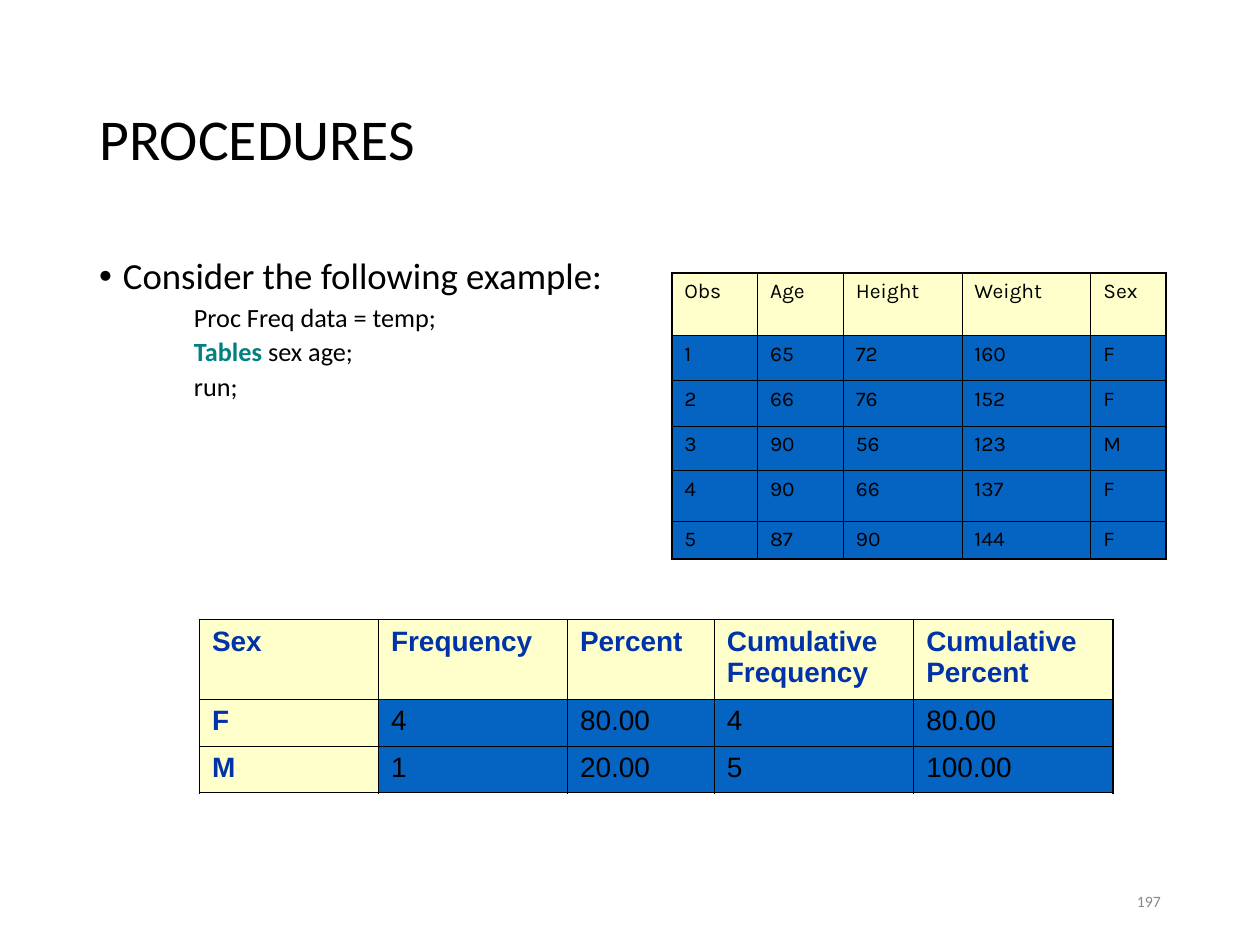
from dataclasses import dataclass

from lxml.etree import SubElement
from pptx import Presentation
from pptx.dml.color import RGBColor
from pptx.enum.text import MSO_ANCHOR, PP_ALIGN
from pptx.oxml.ns import qn
from pptx.util import Cm, Pt


@dataclass(frozen=True)
class Theme:
    black: str = "000000"
    keyword: str = "008080"
    muted: str = "898989"
    heading: str = "0033A9"
    header_fill: str = "FFFFCC"
    body_fill: str = "0563C1"
    text_font: str = "Calibri"
    data_font: str = "Karla"
    result_font: str = "Arial"
    title_size: float = 33
    lead_size: float = 21
    code_size: float = 15
    data_size: float = 12
    result_size: float = 16
    number_size: float = 9
    inner_line: float = 0.45
    outer_line: float = 1.08


THEME = Theme()


def write_text(paragraph, text, size, font=THEME.text_font, color=THEME.black, bold=False):
    for index, line in enumerate(text.split("\n")):
        if index:
            paragraph.add_line_break()
        run = paragraph.add_run()
        run.text = line
        run.font.size = Pt(size)
        run.font.name = font
        run.font.bold = bold
        run.font.color.rgb = RGBColor.from_string(color)


def set_indent(paragraph, margin, bullet=None):
    properties = paragraph._p.get_or_add_pPr()
    properties.set("marL", str(Cm(margin)))
    properties.set("indent", str(Cm(-0.48)))
    if bullet:
        SubElement(properties, qn("a:buFont"), typeface="Arial")
        SubElement(properties, qn("a:buChar"), char=bullet)
    else:
        SubElement(properties, qn("a:buNone"))


def add_title(slide, text):
    title = slide.shapes.title
    title.left, title.top, title.width, title.height = Cm(1.75), Cm(1.02), Cm(21.92), Cm(3.68)
    title.text_frame.vertical_anchor = MSO_ANCHOR.MIDDLE
    paragraph = title.text_frame.paragraphs[0]
    paragraph.alignment = PP_ALIGN.LEFT
    paragraph.line_spacing = 0.9
    write_text(paragraph, text, THEME.title_size)


def add_text_frame(slide, left, top, width, height):
    box = slide.shapes.add_textbox(Cm(left), Cm(top), Cm(width), Cm(height))
    box.text_frame.word_wrap = True
    return box.text_frame


def add_example(slide, lead, code_lines):
    frame = add_text_frame(slide, 1.75, 5.08, 21.92, 12.09)
    paragraph = frame.paragraphs[0]
    paragraph.line_spacing = 0.9
    set_indent(paragraph, 0.48, bullet="•")
    write_text(paragraph, lead, THEME.lead_size)
    for keyword, rest in code_lines:
        paragraph = frame.add_paragraph()
        paragraph.level = 1
        paragraph.line_spacing = 0.9
        paragraph.space_before = Pt(3.7)
        set_indent(paragraph, 2.39)
        if keyword:
            write_text(paragraph, keyword, THEME.code_size, color=THEME.keyword, bold=True)
        write_text(paragraph, rest, THEME.code_size)


def set_borders(cell, outer_sides):
    properties = cell._tc.get_or_add_tcPr()
    for index, side in enumerate("LRTB"):
        width = THEME.outer_line if side in outer_sides else THEME.inner_line
        line = SubElement(properties, qn(f"a:ln{side}"), w=str(Pt(width)))
        fill = SubElement(line, qn("a:solidFill"))
        SubElement(fill, qn("a:srgbClr"), val=THEME.black)
        properties.insert(index, line)


def add_table(slide, left, top, widths, heights, rows, size, font,
              header_color=THEME.black, header_bold=False, header_column=False):
    frame = slide.shapes.add_table(len(rows), len(widths), Cm(left), Cm(top),
                                   Cm(sum(widths)), Cm(sum(heights)))
    table = frame.table
    table.first_row = table.horz_banding = False
    for column, width in zip(table.columns, widths):
        column.width = Cm(width)
    for row, height in zip(table.rows, heights):
        row.height = Cm(height)
    last_row, last_column = len(rows) - 1, len(widths) - 1
    for r, values in enumerate(rows):
        for c, value in enumerate(values):
            cell = table.cell(r, c)
            is_header = r == 0 or (header_column and c == 0)
            cell.fill.solid()
            cell.fill.fore_color.rgb = RGBColor.from_string(
                THEME.header_fill if is_header else THEME.body_fill)
            edges = {"L": c == 0, "R": c == last_column, "T": r == 0, "B": r == last_row}
            set_borders(cell, [side for side, is_outer in edges.items() if is_outer])
            write_text(cell.text_frame.paragraphs[0], value, size, font,
                       color=header_color if is_header else THEME.black,
                       bold=header_bold and is_header)


def add_slide_number(slide, number):
    frame = add_text_frame(slide, 17.93, 17.65, 5.72, 1.02)
    frame.vertical_anchor = MSO_ANCHOR.MIDDLE
    paragraph = frame.paragraphs[0]
    paragraph.alignment = PP_ALIGN.RIGHT
    write_text(paragraph, number, THEME.number_size, color=THEME.muted)


def main():
    presentation = Presentation()
    presentation.slide_width, presentation.slide_height = Cm(25.4), Cm(19.05)
    slide = presentation.slides.add_slide(presentation.slide_layouts[5])
    add_title(slide, "PROCEDURES")
    add_example(slide, "Consider the following example:", [
        ("", "Proc Freq data = temp;"),
        ("Tables", " sex age;"),
        ("", "run;"),
    ])
    add_slide_number(slide, "197")
    observations = [
        ("Obs", "Age", "Height", "Weight", "Sex"),
        ("1", "65", "72", "160", "F"),
        ("2", "66", "76", "152", "F"),
        ("3", "90", "56", "123", "M"),
        ("4", "90", "66", "137", "F"),
        ("5", "87", "90", "144", "F"),
    ]
    add_table(slide, 13.54, 5.5, [1.73, 1.73, 2.39, 2.6, 1.51],
              [1.27, 0.9, 0.92, 0.9, 1.02, 0.76], observations,
              THEME.data_size, THEME.data_font)
    frequencies = [
        ("Sex", "Frequency", "Percent", "Cumulative\nFrequency", "Cumulative\nPercent"),
        ("F", "4", "80.00", "4", "80.00"),
        ("M", "1", "20.00", "5", "100.00"),
    ]
    add_table(slide, 4.02, 12.49, [3.61, 3.81, 2.96, 4.02, 4.02], [1.6, 0.94, 0.94],
              frequencies, THEME.result_size, THEME.result_font,
              header_color=THEME.heading, header_bold=True, header_column=True)
    presentation.save("out.pptx")


if __name__ == "__main__":
    main()
